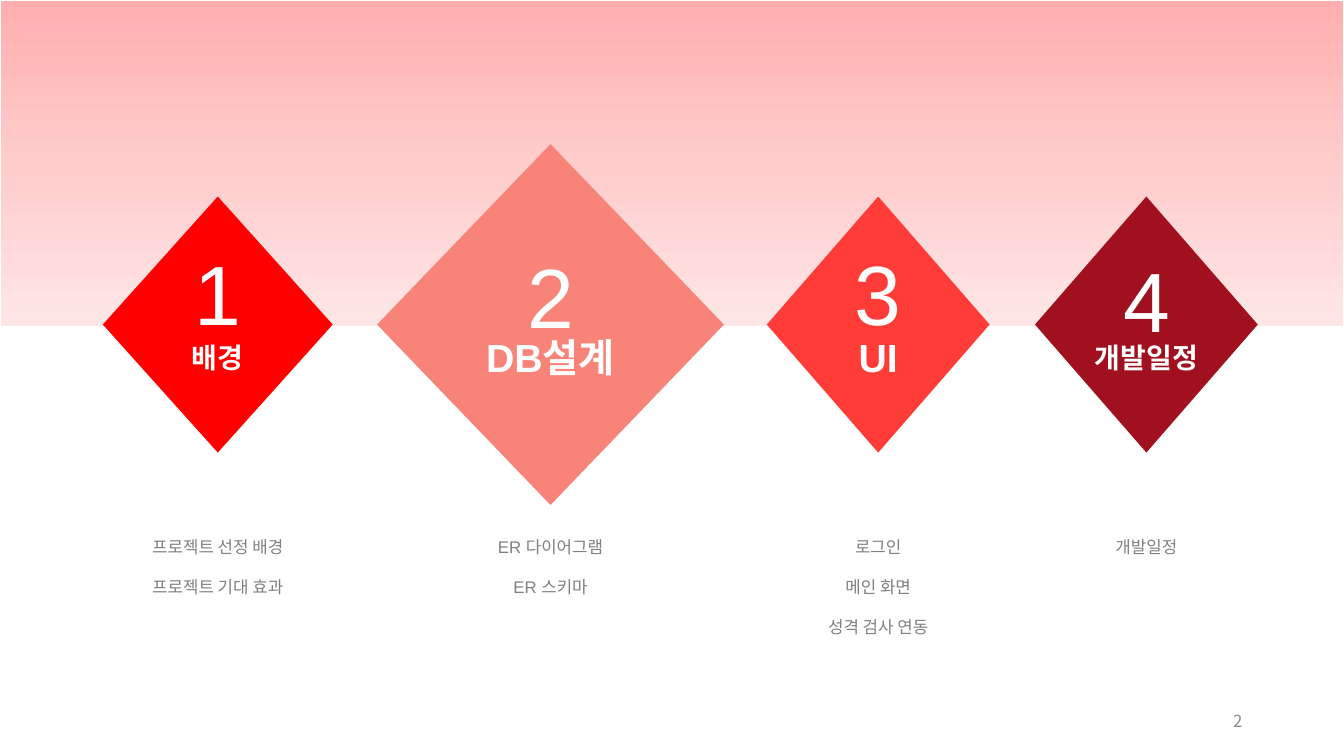
from dataclasses import dataclass

from lxml import etree
from pptx import Presentation
from pptx.dml.color import RGBColor
from pptx.enum.shapes import MSO_SHAPE
from pptx.enum.text import MSO_ANCHOR, PP_ALIGN
from pptx.oxml.ns import qn
from pptx.util import Inches, Pt

WHITE = RGBColor(0xFF, 0xFF, 0xFF)
GRAY = RGBColor(0x80, 0x80, 0x80)
PAGE_GRAY = RGBColor(0x8C, 0x8C, 0x8C)
RED = RGBColor(0xFF, 0x00, 0x00)
SALMON = RGBColor(0xF8, 0x83, 0x79)
CORAL = RGBColor(0xFF, 0x3C, 0x37)
CRIMSON = RGBColor(0xA0, 0x10, 0x1E)
BAND_STOPS = (
    (0, RGBColor(0xFF, 0xAF, 0xAF)),
    (50, RGBColor(0xFF, 0xCC, 0xCC)),
    (100, RGBColor(0xFF, 0xE6, 0xE6)),
)
BAND_BORDERS = (("a:lnL", 1), ("a:lnR", 1), ("a:lnT", 1), ("a:lnB", 3))

SLIDE_WIDTH, SLIDE_HEIGHT = 13.33, 7.5
DIAMOND_MIDDLE = 3.22
CAPTION_MIDDLE = 3.54
FIRST_ITEM_MIDDLE = 5.42
ITEM_STEP = 0.4


@dataclass
class Section:
    center: float
    width: float
    height: float
    color: RGBColor
    caption: str
    caption_size: int
    caption_room: float  # inches kept free below the number
    items: tuple
    items_height: float = 2.02


SECTIONS = (
    Section(2.16, 2.28, 2.54, RED, "배경", 20, 0.64,
            ("프로젝트 선정 배경", "프로젝트 기대 효과"), 1.27),
    Section(5.46, 3.44, 3.58, SALMON, "DB설계", 28, 0.58,
            ("ER 다이어그램", "ER 스키마")),
    Section(8.71, 2.21, 2.54, CORAL, "UI", 28, 0.64,
            ("로그인", "메인 화면", "성격 검사 연동")),
    Section(11.37, 2.21, 2.54, CRIMSON, "개발일정", 20, 0.51,
            ("개발일정",)),
)


def centered_box(center, middle, width, height):
    return (Inches(center - width / 2), Inches(middle - height / 2),
            Inches(width), Inches(height))


def write_lines(shape, lines, size, color, font="Arial", bold=False,
                align=PP_ALIGN.CENTER, gap=0):
    frame = shape.text_frame
    frame.word_wrap = True
    frame.vertical_anchor = MSO_ANCHOR.MIDDLE
    frame.text = "\n".join(lines)
    for index, paragraph in enumerate(frame.paragraphs):
        paragraph.alignment = align
        paragraph.space_before = Pt(gap if index else 0)
        paragraph.font.size = Pt(size)
        paragraph.font.name = font
        paragraph.font.bold = bold
        paragraph.font.color.rgb = color


def add_solid_fill(parent, color):
    fill = etree.SubElement(parent, qn("a:solidFill"))
    etree.SubElement(fill, qn("a:srgbClr"), val=str(color))


def add_band(slide, left, top, width, height):
    """Add the one-cell table that carries the gradient and white borders."""
    table = slide.shapes.add_table(
        1, 1, Inches(left), Inches(top), Inches(width), Inches(height)).table
    properties = table.cell(0, 0)._tc.get_or_add_tcPr()
    for tag, points in BAND_BORDERS:
        border = etree.SubElement(properties, qn(tag), w=str(Pt(points)))
        add_solid_fill(border, WHITE)
    gradient = etree.SubElement(properties, qn("a:gradFill"))
    stops = etree.SubElement(gradient, qn("a:gsLst"))
    for percent, color in BAND_STOPS:
        stop = etree.SubElement(stops, qn("a:gs"), pos=str(percent * 1000))
        etree.SubElement(stop, qn("a:srgbClr"), val=str(color))
    etree.SubElement(gradient, qn("a:lin"), ang=str(90 * 60000), scaled="0")


def add_diamond(slide, number, section):
    diamond = slide.shapes.add_shape(
        MSO_SHAPE.DIAMOND,
        *centered_box(section.center, DIAMOND_MIDDLE, section.width, section.height))
    diamond.shadow.inherit = False
    diamond.fill.solid()
    diamond.fill.fore_color.rgb = section.color
    diamond.line.fill.background()
    diamond.text_frame.margin_bottom = Inches(0.05 + section.caption_room)
    write_lines(diamond, [str(number)], 60, WHITE)


def add_section(slide, number, section):
    """Add a numbered diamond, its caption and the items listed below it."""
    add_diamond(slide, number, section)
    caption = slide.shapes.add_textbox(
        *centered_box(section.center, CAPTION_MIDDLE, 2.6, 0.91))
    write_lines(caption, [section.caption], section.caption_size, WHITE, bold=True)
    items_middle = FIRST_ITEM_MIDDLE + ITEM_STEP * (len(section.items) - 1) / 2
    items = slide.shapes.add_textbox(
        *centered_box(section.center, items_middle, 2.72, section.items_height))
    write_lines(items, section.items, 12, GRAY, gap=14)


def add_page_number(slide, number, left, top, width, height):
    box = slide.shapes.add_textbox(
        Inches(left), Inches(top), Inches(width), Inches(height))
    write_lines(box, [str(number)], 12, PAGE_GRAY, "Noto Sans CJK KR",
                align=PP_ALIGN.RIGHT)


def main():
    presentation = Presentation()
    presentation.slide_width = Inches(SLIDE_WIDTH)
    presentation.slide_height = Inches(SLIDE_HEIGHT)
    slide = presentation.slides.add_slide(presentation.slide_layouts[6])
    add_band(slide, 0, 0, SLIDE_WIDTH, 3.25)
    for number, section in enumerate(SECTIONS, start=1):
        add_section(slide, number, section)
    add_page_number(slide, 2, 9.42, 6.95, 3, 0.4)
    presentation.save("out.pptx")


if __name__ == "__main__":
    main()
